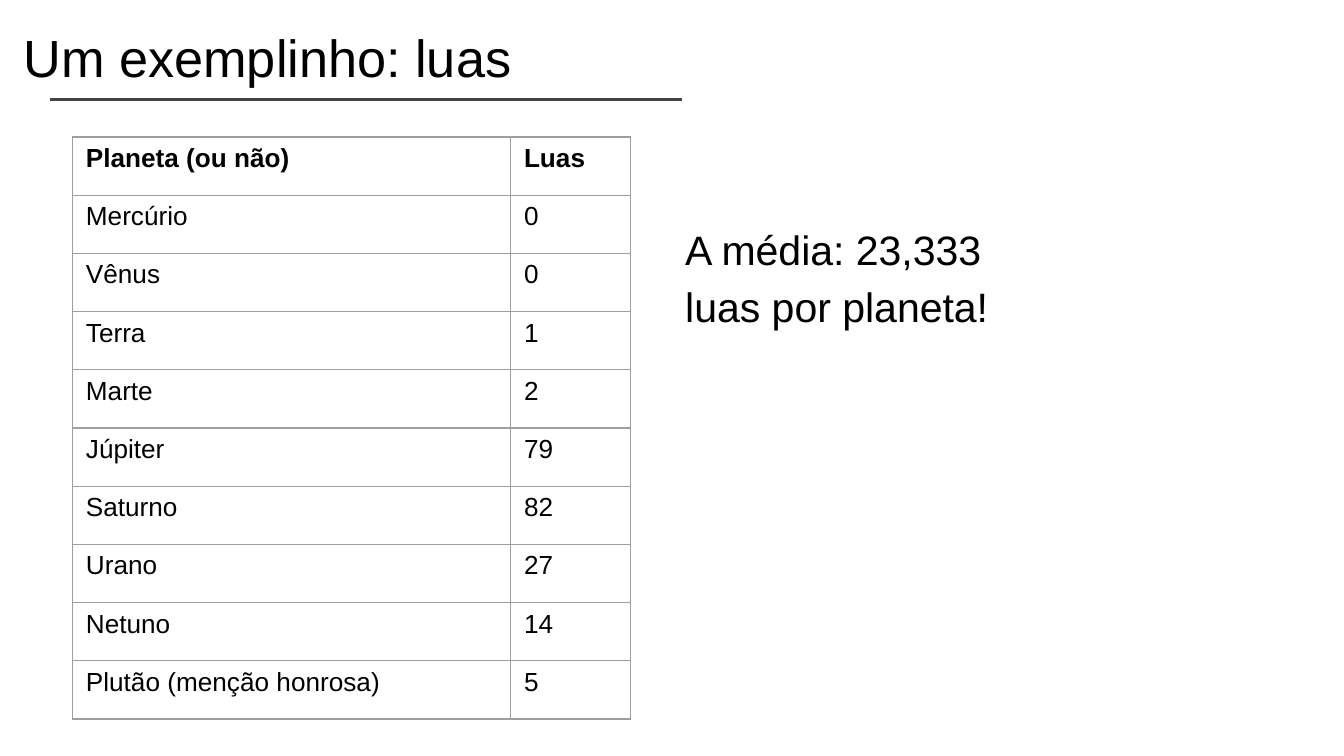
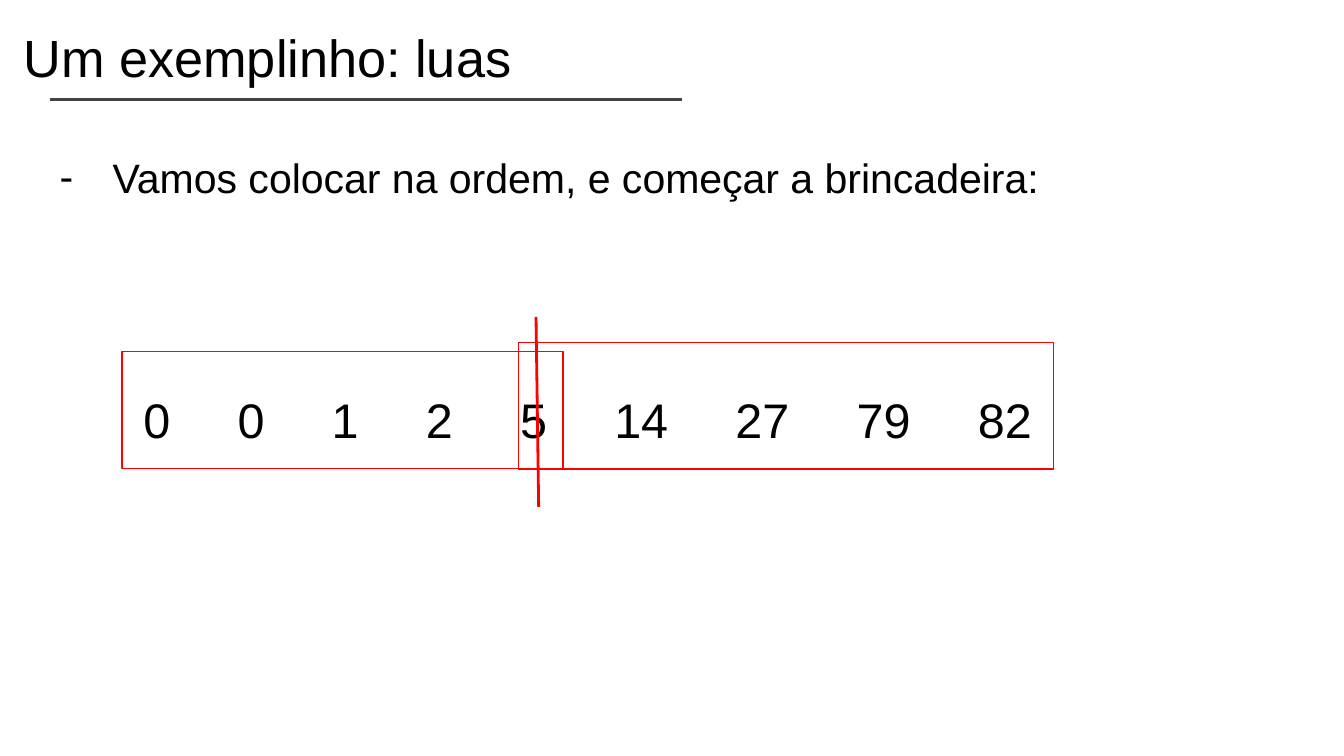
from dataclasses import dataclass
from lxml import etree
from pptx import Presentation
from pptx.dml.color import RGBColor
from pptx.enum.shapes import MSO_CONNECTOR, MSO_SHAPE
from pptx.enum.text import MSO_ANCHOR
from pptx.oxml.ns import qn
from pptx.util import Cm, Pt

LINE = MSO_CONNECTOR.STRAIGHT
RECT = MSO_SHAPE.RECTANGLE
TOP, MID = MSO_ANCHOR.TOP, MSO_ANCHOR.MIDDLE


@dataclass(frozen=True)
class Theme:
    font: str = "Arial"
    ink: str = "000000"
    rule: str = "434343"
    grid: str = "9E9E9E"
    mark: str = "FF0000"
    title: int = 28
    body: int = 22
    digits: int = 26
    cell: int = 14
    thin: float = 0.75
    thick: float = 1.5
    pad: float = 0.25
    lead: float = 1.15


THEME = Theme()
TITLE = "Um exemplinho: luas"
MEAN = "A média: 23,333 luas por planeta!"
ORDER = "Vamos colocar na ordem, e começar a brincadeira:"
HEAD = ("Planeta (ou não)", "Luas")
MOONS = [
    ("Mercúrio", 0),
    ("Vênus", 0),
    ("Terra", 1),
    ("Marte", 2),
    ("Júpiter", 79),
    ("Saturno", 82),
    ("Urano", 27),
    ("Netuno", 14),
    ("Plutão (menção honrosa)", 5),
]
COLS = (8.28, 2.26)
ROW = 1.1
HALVES = [(2.31, 6.65, 8.33, 2.21), (9.8, 6.48, 10.11, 2.39)]
DIGIT, GAP = 0.51, 1.27


def sub(node, tag, **attrs):
    return etree.SubElement(node, qn(tag), attrs)


def write(frame, text, size=THEME.body, bold=False, lead=None, anchor=TOP):
    frame.word_wrap = True
    frame.vertical_anchor = anchor
    para = frame.paragraphs[0]
    if lead:
        para.line_spacing = lead
    run = para.add_run()
    run.text = text
    font = run.font
    font.name, font.size, font.bold = THEME.font, Pt(size), bold
    font.color.rgb = RGBColor.from_string(THEME.ink)
    return para


def label(slide, box, text, **style):
    frame = slide.shapes.add_textbox(*map(Cm, box)).text_frame
    frame.margin_left = frame.margin_right = Cm(THEME.pad)
    frame.margin_top = frame.margin_bottom = Cm(THEME.pad)
    return write(frame, text, **style)


def stroke(line, color, width):
    line.color.rgb = RGBColor.from_string(color)
    line.width = Pt(width)


def rule(slide, ends, color):
    line = slide.shapes.add_connector(LINE, *map(Cm, ends))
    stroke(line.line, color, THEME.thick)
    sub(line._element.spPr, "a:effectLst")


def frame_box(slide, box):
    rect = slide.shapes.add_shape(RECT, *map(Cm, box))
    rect.shadow.inherit = False
    rect.fill.background()
    stroke(rect.line, THEME.mark, THEME.thin)


def edge(cell):
    props = cell._tc.get_or_add_tcPr()
    for side in "LRTB":
        line = sub(props, f"a:ln{side}", w=str(Pt(THEME.thin)))
        sub(sub(line, "a:solidFill"), "a:srgbClr", val=THEME.grid)
    cell.fill.background()


def bullet(para, mark, left, hang):
    props = para._p.get_or_add_pPr()
    props.set("marL", str(Cm(left)))
    props.set("indent", str(-Cm(hang)))
    sub(sub(props, "a:buClr"), "a:srgbClr", val=THEME.ink)
    sub(props, "a:buFont", typeface=THEME.font)
    sub(props, "a:buChar", char=mark)


def tabs(para, words):
    stops = sub(para._p.get_or_add_pPr(), "a:tabLst")
    spot = 0
    for word in words[:-1]:
        spot += len(word) * DIGIT + GAP
        sub(stops, "a:tab", pos=str(Cm(spot)), algn="l")


def start(deck):
    slide = deck.slides.add_slide(deck.slide_layouts[6])
    rule(slide, (0.94, 1.88, 12.88, 1.88), THEME.rule)
    label(slide, (0.2, 0.15, 21.84, 1.83), TITLE, size=THEME.title, anchor=MID)
    return slide


def mean_slide(deck):
    slide = start(deck)
    rows = [HEAD, *MOONS]
    box = (1.37, 2.59, sum(COLS), ROW * len(rows))
    table = slide.shapes.add_table(len(rows), len(COLS), *map(Cm, box)).table
    table.first_row = table.horz_banding = False
    for col, width in zip(table.columns, COLS):
        col.width = Cm(width)
    for r, row in enumerate(rows):
        table.rows[r].height = Cm(ROW)
        for c, value in enumerate(row):
            cell = table.cell(r, c)
            edge(cell)
            write(cell.text_frame, str(value), size=THEME.cell, bold=r == 0)
    label(slide, (12.7, 3.86, 7.62, 3.45), MEAN, lead=THEME.lead)


def order_slide(deck):
    slide = start(deck)
    para = label(slide, (0.61, 2.49, 23.55, 2.21), ORDER, lead=THEME.lead)
    bullet(para, "-", 1.27, 1.0)
    words = [str(n) for n in sorted(n for _, n in MOONS)]
    para = label(slide, (2.46, 6.96, 17.7, 2.21), "\t".join(words),
                 size=THEME.digits, lead=THEME.lead)
    tabs(para, words)
    rule(slide, (10.13, 5.99, 10.18, 9.58), THEME.mark)
    for half in HALVES:
        frame_box(slide, half)


def main():
    deck = Presentation()
    deck.slide_width, deck.slide_height = Cm(25.4), Cm(14.29)
    mean_slide(deck)
    order_slide(deck)
    deck.save("out.pptx")


if __name__ == "__main__":
    main()
